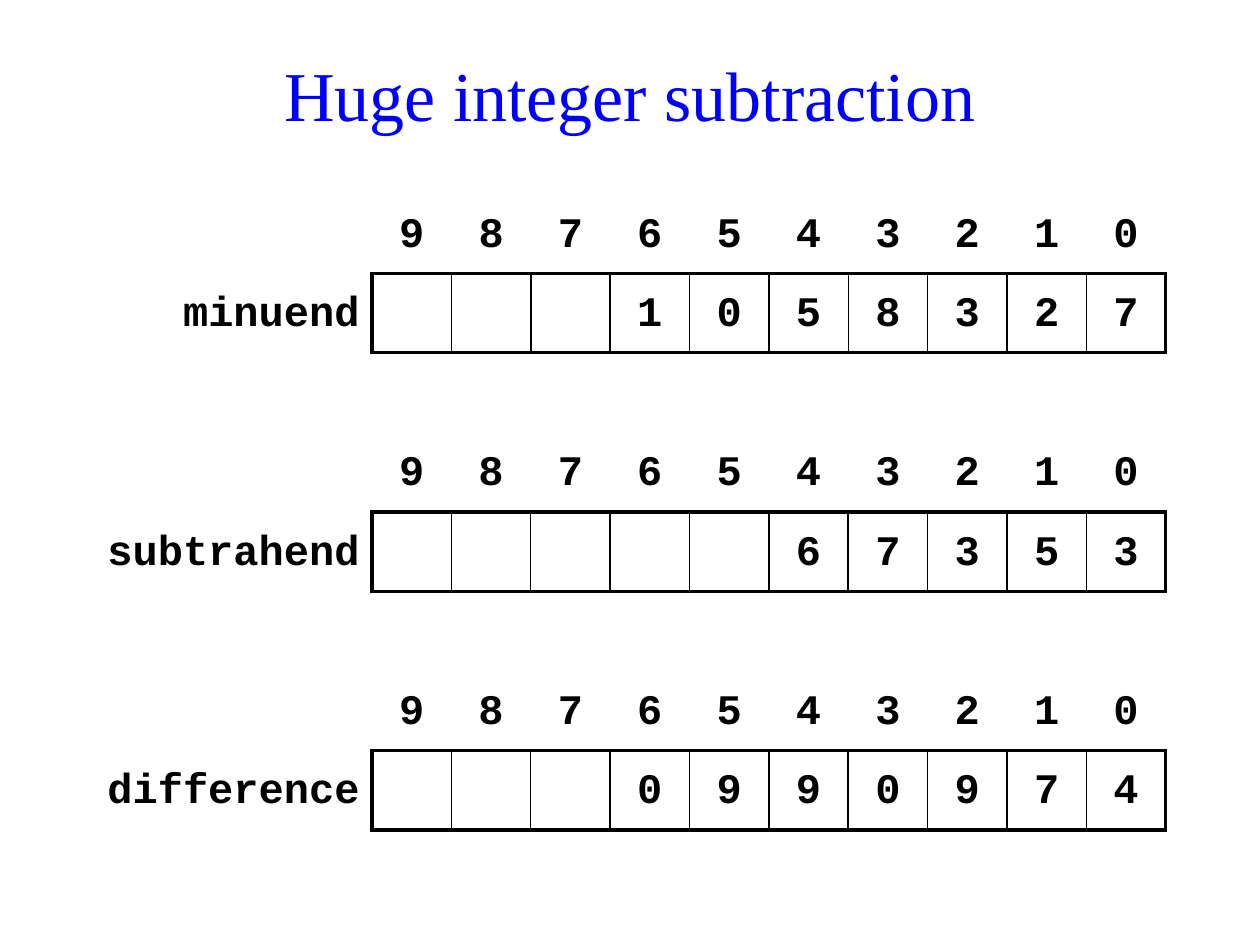
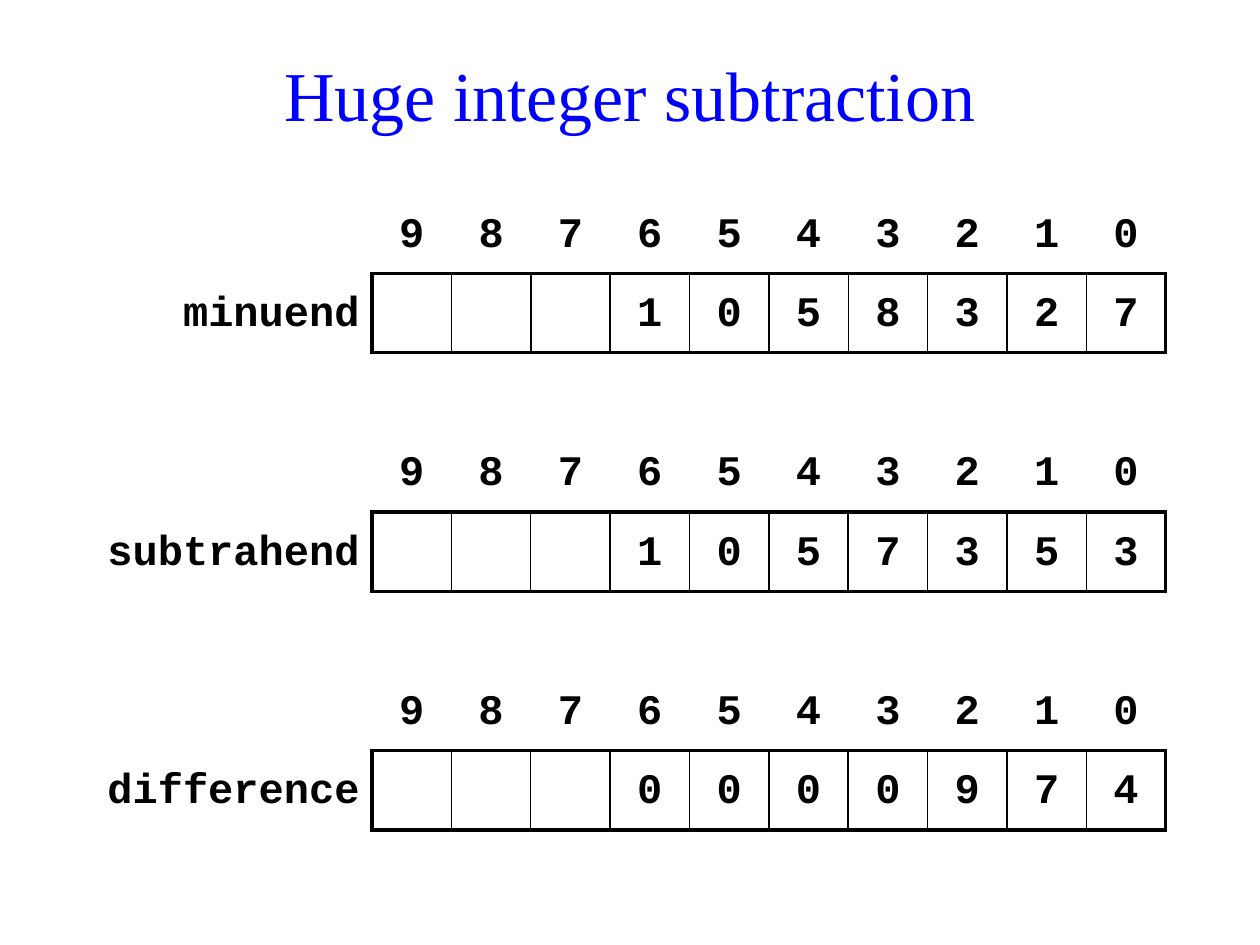
from pptx import Presentation
from pptx import util as u
from pptx.dml.color import RGBColor
from pptx.enum import text
from pptx.oxml.ns import qn
from lxml import etree

# Shared look
TITLE = "Huge integer subtraction"
BLACK = "000000"
TITLE_FONT = {"name": "Times New Roman", "size": u.Pt(40), "bold": False, "color": "0000FF"}
CODE_FONT = {"name": "Courier New", "size": u.Pt(24), "bold": True, "color": BLACK}
THICK, THIN = 2.25, 1

# Shared grid, in centimetres
DIGITS = 10
CELL = 1.6
GRID_LEFT = 7.5
FIRST_TOP, TABLE_STEP = 3.91, 4.81
LABEL_WIDTHS = {"minuend": 4.4, "subtrahend": 5.6, "difference": 5.6}

# Numbers on each slide: minuend, subtrahend, difference
subtractions = [
    ("1058327", "67353", "0990974"),
    ("1058327", "1057353", "0000974"),
]


def write(paragraph, content, font, alignment):
    paragraph.alignment = alignment
    run = paragraph.add_run()
    run.text = content
    for name, value in font.items():
        if name == "color":
            run.font.color.rgb = RGBColor.from_string(value)
        else:
            setattr(run.font, name, value)


def set_borders(cell, widths):
    properties = cell._tc.get_or_add_tcPr()
    for side in "LRTB":
        width = widths.get(side, 0)
        line = etree.SubElement(properties, qn(f"a:ln{side}"), w=str(u.Pt(width)))
        if width:
            fill = etree.SubElement(line, qn("a:solidFill"))
            etree.SubElement(fill, qn("a:srgbClr"), val=BLACK)
        else:
            etree.SubElement(line, qn("a:noFill"))


presentation = Presentation()
presentation.slide_width = u.Cm(25.4)
presentation.slide_height = u.Cm(19.05)

for numbers in subtractions:
    slide = presentation.slides.add_slide(presentation.slide_layouts[6])

    # Title
    title = slide.shapes.add_textbox(u.Cm(1.5), u.Cm(0.71), u.Cm(22.4), u.Cm(2.36))
    title.text_frame.word_wrap = True
    title.text_frame.vertical_anchor = text.MSO_ANCHOR.MIDDLE
    write(title.text_frame.paragraphs[0], TITLE, TITLE_FONT, text.PP_ALIGN.CENTER)

    # One table per number: positions above, boxed digits below
    for index, ((label, label_width), number) in enumerate(zip(LABEL_WIDTHS.items(), numbers)):
        table = slide.shapes.add_table(
            2, DIGITS + 1,
            u.Cm(GRID_LEFT - label_width), u.Cm(FIRST_TOP + index * TABLE_STEP),
            u.Cm(label_width + DIGITS * CELL), u.Cm(2 * CELL),
        ).table
        table.first_row = table.horz_banding = False
        for row in table.rows:
            row.height = u.Cm(CELL)
        for column, width in zip(table.columns, [label_width] + [CELL] * DIGITS):
            column.width = u.Cm(width)

        positions = [str(position) for position in reversed(range(DIGITS))]
        contents = [[""] + positions, [label] + list(number.rjust(DIGITS))]
        for row_index, row_contents in enumerate(contents):
            for column_index, content in enumerate(row_contents):
                cell = table.cell(row_index, column_index)
                is_label = column_index == 0

                # Borders: thick around the digit row, thin between digits
                if is_label:
                    borders = {"R": THICK} if row_index else {}
                elif row_index == 0:
                    borders = {"B": THICK}
                else:
                    borders = {
                        "L": THICK if column_index == 1 else THIN,
                        "R": THICK if column_index == DIGITS else THIN,
                        "T": THICK,
                        "B": THICK,
                    }
                set_borders(cell, borders)
                cell.fill.background()

                # Text
                if content.strip():
                    paragraph = cell.text_frame.paragraphs[0]
                    paragraph.line_spacing = 1.25
                    alignment = text.PP_ALIGN.RIGHT if is_label else text.PP_ALIGN.CENTER
                    write(paragraph, content, CODE_FONT, alignment)

presentation.save("out.pptx")
